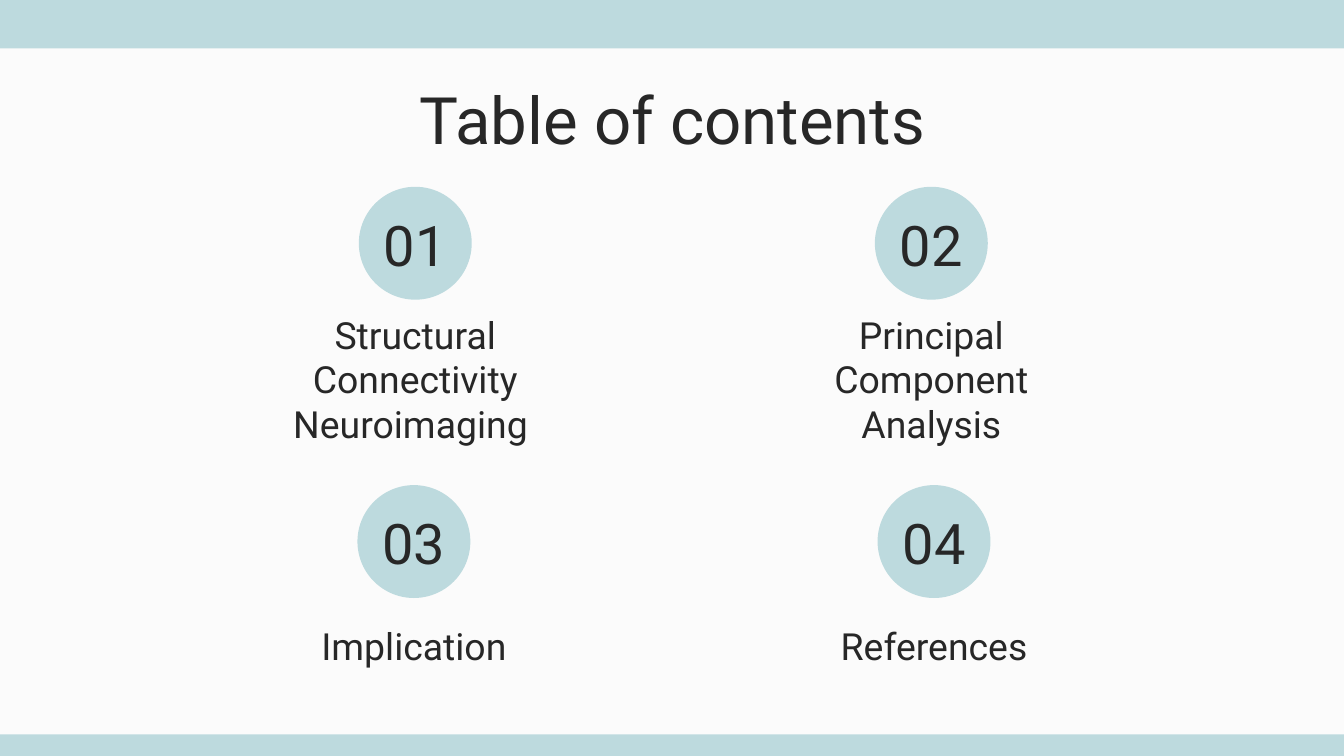
from dataclasses import dataclass

from pptx import Presentation
from pptx.dml.color import RGBColor
from pptx.enum.shapes import MSO_SHAPE
from pptx.enum.text import MSO_ANCHOR, MSO_AUTO_SIZE, PP_ALIGN
from pptx.util import Inches, Pt

SLIDE_WIDTH = 10
SLIDE_HEIGHT = SLIDE_WIDTH * 9 / 16


@dataclass(frozen=True)
class Theme:
    background: RGBColor = RGBColor(0xFB, 0xFB, 0xFB)
    accent: RGBColor = RGBColor(0xBD, 0xDA, 0xDE)
    ink: RGBColor = RGBColor(0x27, 0x27, 0x27)
    font: str = "Roboto"
    title_size: int = 35
    number_size: int = 30
    label_size: int = 20


def write_text(frame, text, *, size, theme, anchor=MSO_ANCHOR.MIDDLE):
    """Fill a text frame with centred text, one paragraph per line."""
    frame.word_wrap = True
    frame.auto_size = MSO_AUTO_SIZE.NONE
    frame.vertical_anchor = anchor
    frame.margin_left = frame.margin_right = Inches(0.1)
    frame.margin_top = frame.margin_bottom = Inches(0.1)
    frame.text = text
    for paragraph in frame.paragraphs:
        paragraph.alignment = PP_ALIGN.CENTER
        paragraph.font.name = theme.font
        paragraph.font.size = Pt(size)
        paragraph.font.color.rgb = theme.ink


class ContentsSlide:
    def __init__(self, slide, theme):
        self.slide = slide
        self.theme = theme
        slide.background.fill.solid()
        slide.background.fill.fore_color.rgb = theme.background

    def shape(self, kind, left, top, width, height):
        shape = self.slide.shapes.add_shape(
            kind, Inches(left), Inches(top), Inches(width), Inches(height))
        shape.shadow.inherit = False
        shape.fill.solid()
        shape.fill.fore_color.rgb = self.theme.accent
        shape.line.fill.background()

    def title(self, text, left, top, width, height):
        title = self.slide.shapes.title
        title.left, title.top = Inches(left), Inches(top)
        title.width, title.height = Inches(width), Inches(height)
        write_text(title.text_frame, text, size=self.theme.title_size,
                   theme=self.theme, anchor=MSO_ANCHOR.TOP)

    def text(self, text, center, top, width, **style):
        box = self.slide.shapes.add_textbox(
            Inches(center - width / 2), Inches(top), Inches(width), Inches(0.49))
        write_text(box.text_frame, text, theme=self.theme, **style)

    def entry(self, number, label, center, badge_top, label_top, label_width):
        diameter = 0.84
        self.shape(MSO_SHAPE.OVAL, center - diameter / 2, badge_top,
                   diameter, diameter)
        self.text(number, center, badge_top + 0.18, 1.22,
                  size=self.theme.number_size)
        self.text(label, center, label_top, label_width,
                  size=self.theme.label_size, anchor=MSO_ANCHOR.BOTTOM)


def main():
    deck = Presentation()
    deck.slide_width, deck.slide_height = Inches(SLIDE_WIDTH), Inches(SLIDE_HEIGHT)
    title_only = deck.slide_layouts[5]
    contents = ContentsSlide(deck.slides.add_slide(title_only), Theme())

    # Bands along the top and bottom edges
    footer_height = 0.16
    for top, height in ((0, 0.36), (SLIDE_HEIGHT - footer_height, footer_height)):
        contents.shape(MSO_SHAPE.RECTANGLE, 0, top, SLIDE_WIDTH, height)

    contents.title("Table of contents", 0.79, 0.49, 8.43, 0.63)

    # Sections: label, centre, badge top, label top, label width
    sections = (
        ("Structural Connectivity\nNeuroimaging ", 3.09, 1.39, 2.93, 2.25),
        ("Principal Component Analysis", 6.93, 1.39, 2.93, 2.52),
        ("Implication", 3.08, 3.61, 4.58, 2.52),
        ("References", 6.95, 3.61, 4.58, 2.52),
    )
    for index, section in enumerate(sections, start=1):
        contents.entry(f"{index:02}", *section)

    deck.save("out.pptx")


if __name__ == "__main__":
    main()
